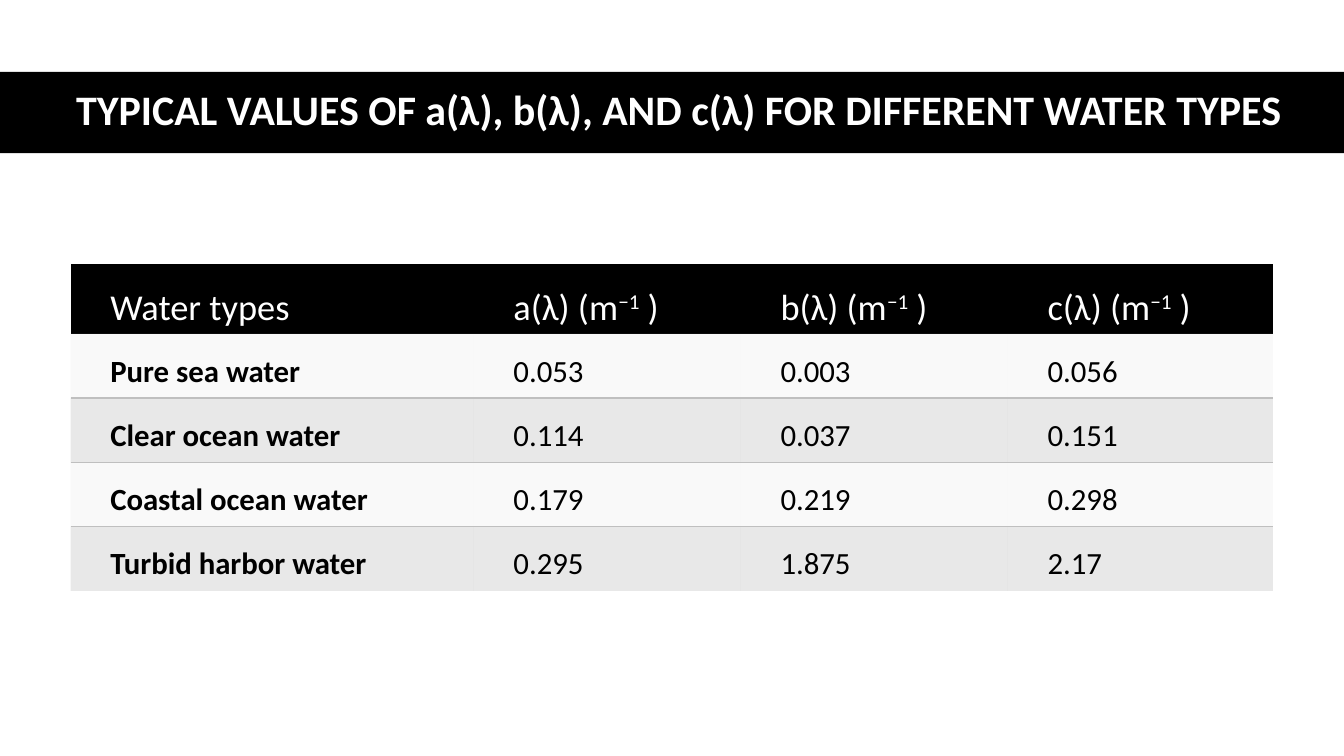
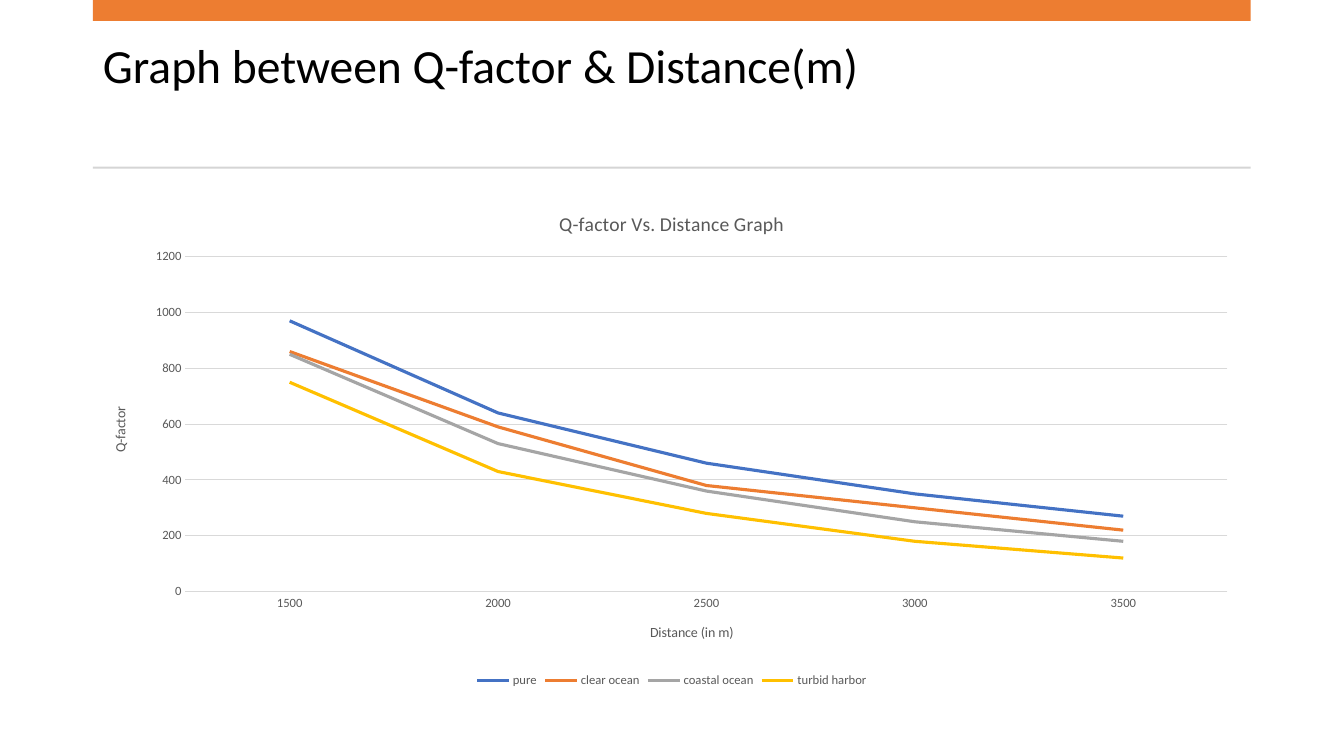
from lxml import etree
from pptx import Presentation
from pptx import util as u
from pptx.chart.data import CategoryChartData
from pptx.dml.color import RGBColor
from pptx.enum import chart as charts, shapes, text
from pptx.oxml import parse_xml
from pptx.oxml.ns import nsdecls, qn

FONT = "Calibri"
COLORS = {
    "black": "000000", "white": "FFFFFF", "light row": "F2F2F2", "gray": "BFBFBF",
    "rule": "D5D5D5", "grid": "D9D9D9", "chart text": "595959",
    "blue": "4472C4", "orange": "ED7D31", "mid gray": "A5A5A5", "yellow": "FFC000",
}
RGB = {name: RGBColor.from_string(value) for name, value in COLORS.items()}
NO_STYLE_NO_GRID = "{2D5ABB26-0587-4C30-8999-92F81FD0307C}"


def style_font(font, size, color, bold=False):
    font.name = FONT
    font.size = u.Pt(size)
    font.bold = bold
    font.color.rgb = RGB[color]


def add_band(slide, left, top, width, height, color):
    """Add a plain bar behind everything else on the slide."""
    band = slide.shapes.add_shape(
        shapes.MSO_SHAPE.RECTANGLE, u.Cm(left), u.Cm(top), u.Cm(width), u.Cm(height))
    band.fill.solid()
    band.fill.fore_color.rgb = RGB[color]
    band.line.fill.background()
    band.shadow.inherit = False
    slide.shapes._spTree.insert(2, band._element)


presentation = Presentation()
presentation.slide_width = u.Cm(33.87)
presentation.slide_height = u.Cm(19.05)
title_only = presentation.slide_layouts[5]

# Titles: wording, box in cm, size, colour, bold, alignment, anchor
titles = [
    ("TYPICAL VALUES OF a(λ), b(λ), AND c(λ) FOR DIFFERENT WATER TYPES",
     (1.55, 1.78, 31.14, 2.06), 30, "white", True,
     text.PP_ALIGN.CENTER, text.MSO_ANCHOR.MIDDLE),
    ("Graph between Q-factor & Distance(m)",
     (2.34, 0.94, 29.18, 3), 34, "black", False,
     text.PP_ALIGN.LEFT, text.MSO_ANCHOR.TOP),
]
slides = []
for wording, box, size, color, bold, alignment, anchor in titles:
    slide = presentation.slides.add_slide(title_only)
    title = slide.shapes.title
    title.left, title.top, title.width, title.height = (u.Cm(length) for length in box)
    frame = title.text_frame
    frame.text = wording
    frame.auto_size = text.MSO_AUTO_SIZE.NONE
    frame.vertical_anchor = anchor
    paragraph = frame.paragraphs[0]
    paragraph.alignment = alignment
    paragraph.line_spacing = 0.9
    style_font(paragraph.runs[0].font, size, color, bold)
    slides.append(slide)
table_slide, chart_slide = slides

# Slide 1: table of water types
add_band(table_slide, 0, 1.81, 33.87, 2.05, "black")

water_types = [
    ("Pure sea water", "0.053", "0.003", "0.056"),
    ("Clear ocean water", "0.114", "0.037", "0.151"),
    ("Coastal ocean water", "0.179", "0.219", "0.298"),
    ("Turbid harbor water", "0.295", "1.875", "2.17"),
]
column_widths = [10.16, 6.73, 6.73, 6.68]
row_heights = [1.77] + [1.62] * len(water_types)
table_frame = table_slide.shapes.add_table(
    len(row_heights), len(column_widths), u.Cm(1.78), u.Cm(6.64),
    u.Cm(sum(column_widths)), u.Cm(sum(row_heights)))
table = table_frame.table
table._tbl.tblPr.find(qn("a:tableStyleId")).text = NO_STYLE_NO_GRID
for column, width in zip(table.columns, column_widths):
    column.width = u.Cm(width)
for row, height in zip(table.rows, row_heights):
    row.height = u.Cm(height)

table.cell(0, 0).text_frame.text = "Water types"
for index, symbol in enumerate("abc", start=1):
    paragraph = table.cell(0, index).text_frame.paragraphs[0]
    for part in (f"{symbol}(λ) (m", "−1", " )"):
        paragraph.add_run().text = part
    paragraph.runs[1].font._element.set("baseline", "30000")
for row_index, values in enumerate(water_types, start=1):
    for column_index, value in enumerate(values):
        table.cell(row_index, column_index).text_frame.text = value

for row_index, row in enumerate(table.rows):
    header = row_index == 0
    shaded = row_index % 2 == 0
    for column_index, cell in enumerate(row.cells):
        cell.margin_left = cell.margin_right = u.Cm(1)
        cell.margin_top, cell.margin_bottom = u.Cm(0.48), 0
        cell.fill.solid()
        cell.fill.fore_color.rgb = RGB[
            "black" if header else "gray" if shaded else "light row"]
        for run in cell.text_frame.paragraphs[0].runs:
            if header:
                style_font(run.font, 26, "white")
            else:
                style_font(run.font, 22, "black", bold=column_index == 0)
        if header:
            cell.vertical_anchor = text.MSO_ANCHOR.MIDDLE
            continue
        properties = cell._tc.tcPr
        fill_color = properties.find(".//" + qn("a:srgbClr"))
        etree.SubElement(fill_color, qn("a:alpha")).set("val", "35000" if shaded else "45000")
        side = "lnT" if shaded else "lnB"
        properties.insert(0, parse_xml(
            f'<a:{side} {nsdecls("a")} w="12700"><a:solidFill>'
            f'<a:srgbClr val="{COLORS["gray"]}"/></a:solidFill></a:{side}>'))

# Slide 2: line chart
add_band(chart_slide, 2.34, 0, 29.18, 0.53, "orange")
add_band(chart_slide, 2.34, 4.2, 29.18, 0.05, "rule")

q_factors = [
    ("pure", "blue", (970, 640, 460, 350, 270)),
    ("clear ocean", "orange", (860, 590, 380, 300, 220)),
    ("coastal ocean", "mid gray", (850, 530, 360, 250, 180)),
    ("turbid harbor", "yellow", (750, 430, 280, 180, 120)),
]
chart_data = CategoryChartData()
chart_data.categories = ["1500", "2000", "2500", "3000", "3500"]
for name, _, values in q_factors:
    chart_data.add_series(name, values)
chart = chart_slide.shapes.add_chart(
    charts.XL_CHART_TYPE.LINE, u.Cm(2.34), u.Cm(4.83), u.Cm(29.18), u.Cm(12.6),
    chart_data).chart
style_font(chart.font, 10, "black")

chart.has_title = True
chart.has_legend = True
chart.legend.position = charts.XL_LEGEND_POSITION.BOTTOM
chart.legend.include_in_layout = False
style_font(chart.legend.font, 9, "chart text")

category_axis, value_axis = chart.category_axis, chart.value_axis
chart_titles = [
    (chart.chart_title, "Q-factor Vs. Distance Graph", 14),
    (category_axis.axis_title, "Distance (in m)", 10),
    (value_axis.axis_title, "Q-factor", 10),
]
for chart_title, wording, size in chart_titles:
    chart_title.text_frame.text = wording
    style_font(chart_title.text_frame.paragraphs[0].runs[0].font, size, "chart text")

for axis in (category_axis, value_axis):
    axis.major_tick_mark = axis.minor_tick_mark = charts.XL_TICK_MARK.NONE
    style_font(axis.tick_labels.font, 9, "chart text")
value_axis.minimum_scale, value_axis.maximum_scale, value_axis.major_unit = 0, 1200, 200
value_axis.format.line.fill.background()
for line in (category_axis.format.line, value_axis.major_gridlines.format.line):
    line.color.rgb = RGB["grid"]
    line.width = u.Pt(0.75)

plot = chart.plots[0]
plot.vary_by_categories = False
for series, (_, color, _) in zip(plot.series, q_factors):
    series.smooth = False
    series.marker.style = charts.XL_MARKER_STYLE.NONE
    series.format.line.color.rgb = RGB[color]
    series.format.line.width = u.Pt(2.25)

# Inner plot area, as shares of the chart frame
plot_area = chart._chartSpace.chart.plotArea
for layout in plot_area.findall(qn("c:layout")):
    plot_area.remove(layout)
plot_area.insert(0, parse_xml(
    f'<c:layout {nsdecls("c")}><c:manualLayout><c:layoutTarget val="inner"/>'
    '<c:xMode val="edge"/><c:yMode val="edge"/><c:x val="0.08"/><c:y val="0.13"/>'
    '<c:w val="0.9"/><c:h val="0.67"/></c:manualLayout></c:layout>'))

presentation.save("out.pptx")
